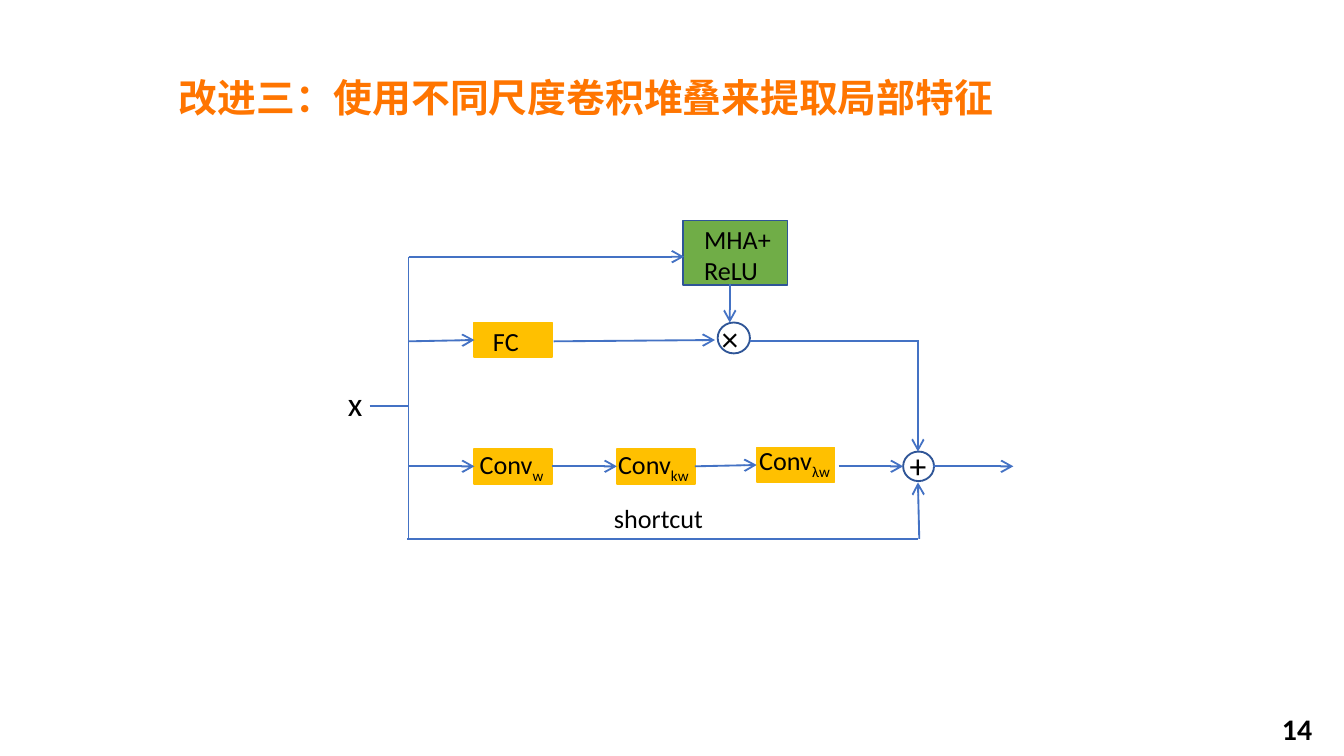
"""Build the slide on multi-scale convolution stacking for local features."""
from lxml import etree
from pptx import Presentation
from pptx.dml.color import RGBColor
from pptx.enum.shapes import MSO_CONNECTOR, MSO_SHAPE
from pptx.enum.text import MSO_ANCHOR, MSO_AUTO_SIZE, PP_ALIGN
from pptx.oxml.ns import qn
from pptx.util import Inches, Pt

STRAIGHT = MSO_CONNECTOR.STRAIGHT
RECTANGLE, OVAL = MSO_SHAPE.RECTANGLE, MSO_SHAPE.OVAL
MIDDLE, NO_FIT, LEFT = MSO_ANCHOR.MIDDLE, MSO_AUTO_SIZE.NONE, PP_ALIGN.LEFT
LEFT_SIDE, RIGHT_SIDE = 1, 3

THEME = {
    "title": RGBColor(0xFF, 0x75, 0x00),
    "text": RGBColor(0, 0, 0),
    "layer": RGBColor(0xFF, 0xC0, 0x00),
    "attention": RGBColor(0x70, 0xAD, 0x47),
    "outline": RGBColor(0x2F, 0x55, 0x97),
    "flow": RGBColor(0x44, 0x72, 0xC4),
    "latin_font": "Calibri",
    "title_font": "Noto Sans CJK SC",
    "title_size": Pt(20.8),
    "symbol_size": Pt(18),
    "number_size": Pt(16),
    "label_size": Pt(14),
    "line_width": Pt(1),
}


def add_span(para, text, size, color, font=THEME["latin_font"], bold=False):
    span = para.add_run()
    span.text = text
    for name, value in {"size": size, "name": font, "bold": bold}.items():
        setattr(span.font, name, value)
    span.font.color.rgb = color
    return span


def add_line(start, end, arrow):
    line = page.shapes.add_connector(STRAIGHT, *map(Inches, start + end))
    line.line.color.rgb = THEME["flow"]
    line.line.width = THEME["line_width"]
    properties = line._element.spPr
    if arrow:
        outline = properties.find(qn("a:ln"))
        etree.SubElement(outline, qn("a:tailEnd"), type="arrow")
    etree.SubElement(properties, qn("a:effectLst"))
    return line


deck = Presentation()
deck.slide_width = Inches(10)
deck.slide_height = Inches(10 * 9 / 16)
page = deck.slides.add_slide(deck.slide_layouts[5])

title = page.shapes.title
title_place = {"left": 1.23, "top": 0.42, "width": 8.21, "height": 0.6}
for name, value in title_place.items():
    setattr(title, name, Inches(value))
title_format = {
    "word_wrap": True,
    "auto_size": NO_FIT,
    "vertical_anchor": MIDDLE,
}
for name, value in title_format.items():
    setattr(title.text_frame, name, value)
para = title.text_frame.paragraphs[0]
para.alignment = LEFT
span = add_span(para, "改进三：使用不同尺度卷积堆叠来提取局部特征",
                THEME["title_size"], THEME["title"], THEME["title_font"], True)
etree.SubElement(span._r.get_or_add_rPr(), qn("a:ea"),
                 typeface=THEME["title_font"])

blocks = {}
for key, kind, place, fill, outline in [
    ("fc", RECTANGLE, (3.53, 2.4, 0.58, 0.26), "layer", "layer"),
    ("conv_w", RECTANGLE, (3.53, 3.34, 0.58, 0.26), "layer", "layer"),
    ("conv_kw", RECTANGLE, (4.59, 3.34, 0.58, 0.26), "layer", "layer"),
    ("conv_lw", RECTANGLE, (5.63, 3.33, 0.58, 0.26), "layer", "layer"),
    ("mha", RECTANGLE, (5.08, 1.64, 0.78, 0.48), "attention", "outline"),
    ("multiply", OVAL, (5.34, 2.4, 0.24, 0.23), None, "outline"),
    ("add", OVAL, (6.72, 3.36, 0.23, 0.22), None, "outline"),
]:
    block = page.shapes.add_shape(kind, *map(Inches, place))
    block.shadow.inherit = False
    if fill:
        block.fill.solid()
        block.fill.fore_color.rgb = THEME[fill]
    else:
        block.fill.background()
    block.line.color.rgb = THEME[outline]
    block.line.width = THEME["line_width"]
    blocks[key] = block

for start, end, arrow, source, target in [
    ((2.75, 3.02), (3.04, 3.02), False, None, None),
    ((3.04, 1.91), (3.04, 4.01), False, None, None),
    ((3.03, 4.01), (6.83, 4.01), False, None, None),
    ((5.58, 2.54), (6.84, 2.54), False, None, None),
    ((3.04, 1.91), (5.09, 1.91), True, None, None),
    ((5.43, 2.11), (5.43, 2.4), True, None, None),
    ((6.83, 2.54), (6.83, 3.36), True, None, None),
    ((6.84, 4.01), (6.83, 3.59), True, None, None),
    ((6.94, 3.47), (7.54, 3.47), True, None, None),
    ((6.24, 3.47), (6.72, 3.47), True, None, None),
    ((3.04, 2.54), (3.53, 2.53), True, None, "fc"),
    ((4.12, 2.54), (5.32, 2.53), True, None, None),
    ((3.04, 3.47), (3.53, 3.47), True, None, "conv_w"),
    ((4.11, 3.47), (4.59, 3.47), True, "conv_w", "conv_kw"),
    ((5.17, 3.47), (5.63, 3.46), True, "conv_kw", "conv_lw"),
]:
    line = add_line(start, end, arrow)
    if source:
        line.begin_connect(blocks[source], RIGHT_SIDE)
    if target:
        line.end_connect(blocks[target], LEFT_SIDE)

for place, lines, subscript, size, bold in [
    ((2.49, 2.8, 0.43, 0.4), ["x"], "", "symbol_size", False),
    ((3.57, 2.37, 0.46, 0.34), ["FC"], "", "label_size", False),
    ((3.47, 3.29, 0.82, 0.34), ["Conv"], "w", "label_size", False),
    ((4.5, 3.29, 0.92, 0.34), ["Conv"], "kw", "label_size", False),
    ((5.55, 3.26, 0.92, 0.34), ["Conv"], "λw", "label_size", False),
    ((5.14, 1.61, 0.97, 0.57), ["MHA+", "ReLU"], "", "label_size", False),
    ((5.27, 2.32, 0.41, 0.34), ["×"], "", "symbol_size", False),
    ((6.67, 3.26, 0.55, 0.4), ["+"], "", "symbol_size", False),
    ((4.47, 3.69, 0.93, 0.34), ["shortcut"], "", "label_size", False),
    ((9.44, 5.24, 0.47, 0.32), ["14"], "", "number_size", True),
]:
    box = page.shapes.add_textbox(*map(Inches, place))
    frame = box.text_frame
    frame.word_wrap = True
    for index, text in enumerate(lines):
        para = frame.add_paragraph() if index else frame.paragraphs[0]
        add_span(para, text, THEME[size], THEME["text"], bold=bold)
    if subscript:
        span = add_span(para, subscript, THEME[size], THEME["text"])
        span._r.get_or_add_rPr().set("baseline", "-25000")

deck.save("out.pptx")
